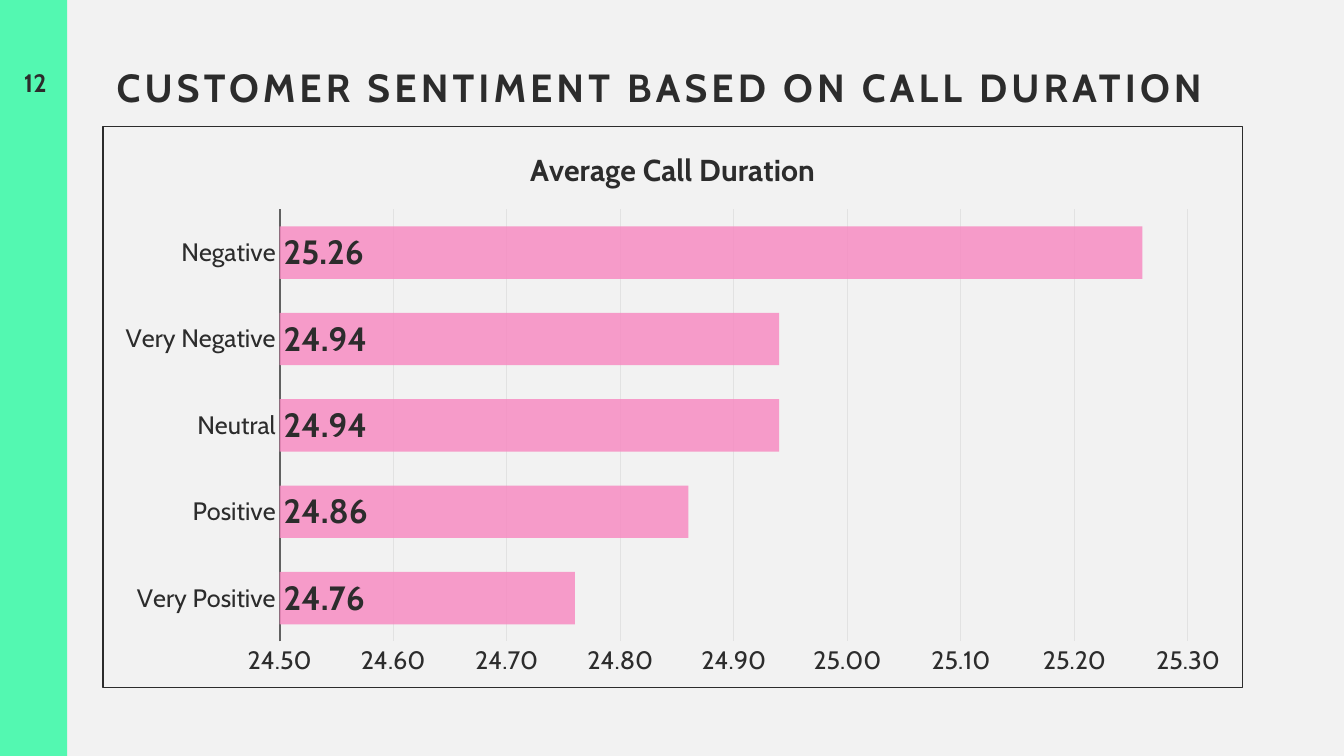
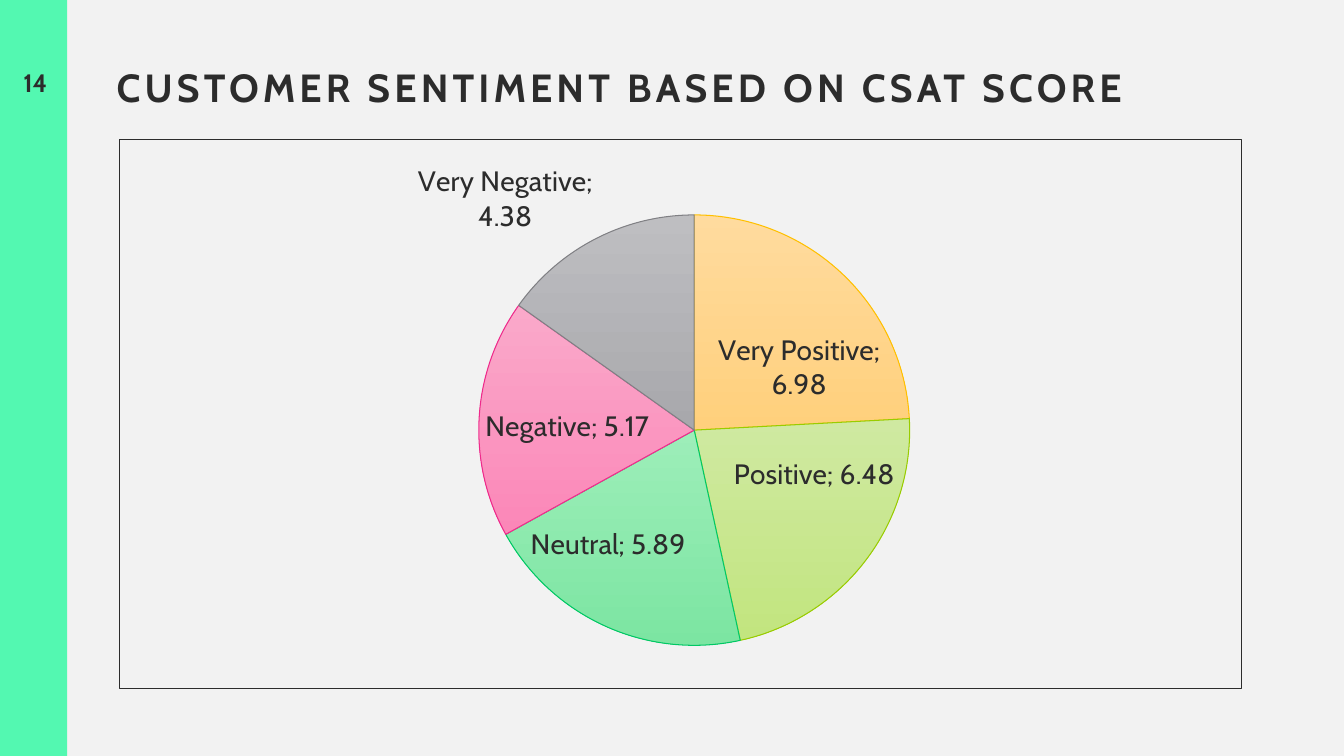
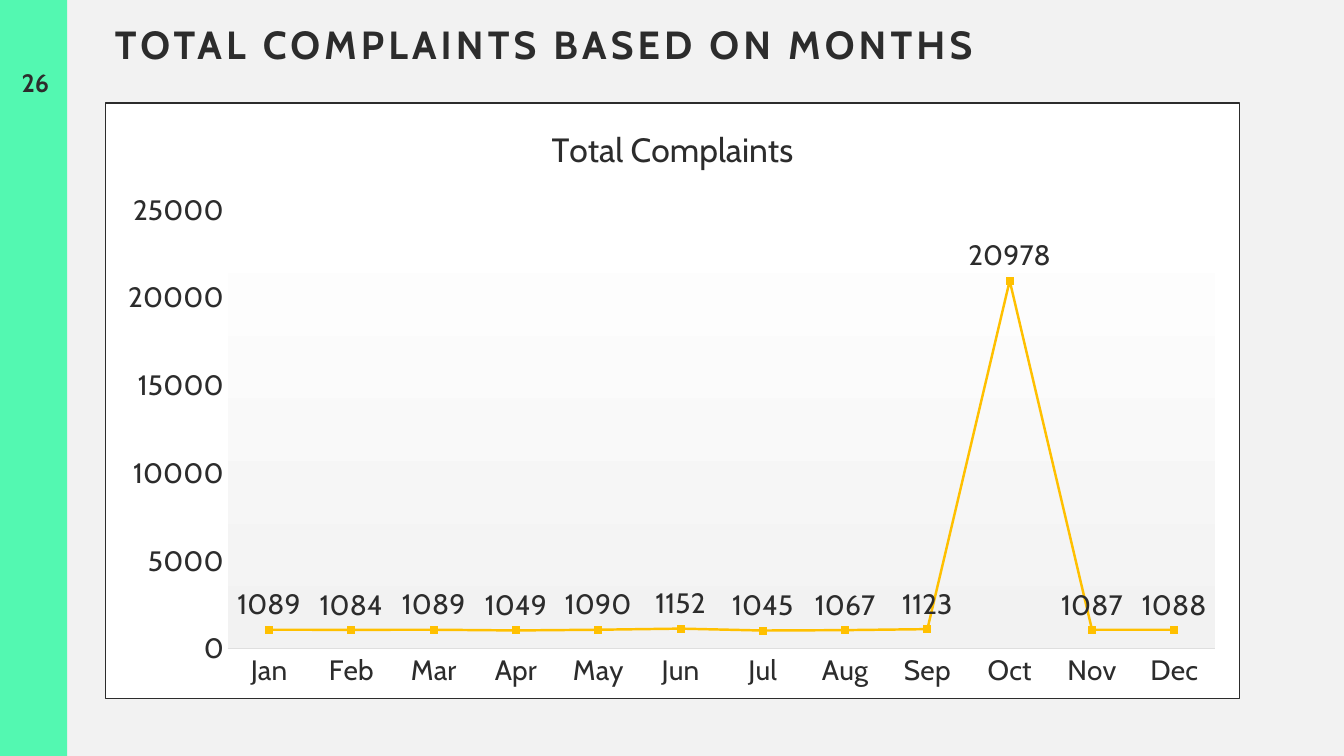
from pptx import Presentation
from pptx.chart.data import CategoryChartData
from pptx.dml.color import RGBColor
from pptx.enum.chart import XL_CHART_TYPE, XL_LABEL_POSITION, XL_TICK_MARK
from pptx.enum.shapes import MSO_SHAPE
from pptx.enum.text import MSO_ANCHOR, PP_ALIGN
from pptx.oxml import parse_xml
from pptx.oxml.ns import nsdecls, qn
from pptx.util import Inches, Pt
from lxml import etree

BAR, PIE, LINE = XL_CHART_TYPE.BAR_CLUSTERED, XL_CHART_TYPE.PIE, XL_CHART_TYPE.LINE
INSIDE_BASE = XL_LABEL_POSITION.INSIDE_BASE
BEST_FIT, ABOVE = XL_LABEL_POSITION.BEST_FIT, XL_LABEL_POSITION.ABOVE
NO_TICK = XL_TICK_MARK.NONE
RECT = MSO_SHAPE.RECTANGLE
LEFT, CENTER = PP_ALIGN.LEFT, PP_ALIGN.CENTER
TOP, MIDDLE = MSO_ANCHOR.TOP, MSO_ANCHOR.MIDDLE

COLS, ROWS = 16, 9
CELL = 13.33 / COLS


def grid(*cells):
    """Turn grid columns and rows into lengths."""
    return [Inches(c * CELL) for c in cells]


def rgb(code):
    return RGBColor.from_string(code)


def set_font(font, size, color, face, bold=False):
    font.size, font.name, font.bold = Pt(size), face, bold
    font.color.rgb = rgb(color)


def set_line(line, color, width=0.75):
    line.width = Pt(width)
    line.color.rgb = rgb(color)


def set_gradient(fill, first, last):
    """Blend two colours from top to bottom."""
    fill.gradient()
    fill.gradient_angle = 270
    for stop, color in zip(fill.gradient_stops, (first, last)):
        stop.color.rgb = rgb(color)


def set_alpha(fill_parent, percent):
    color = next(fill_parent.iter(qn("a:srgbClr")))
    etree.SubElement(color, qn("a:alpha")).set("val", str(percent * 1000))


class Deck:
    """Shared style and the slide being built."""
    FACE, INK, PAPER, BAND = "Cabin", "2C2C2C", "F2F2F2", "53F8B1"

    def __init__(self):
        self.prs = Presentation()
        self.prs.slide_width, self.prs.slide_height = grid(COLS, ROWS)

    def text(self, text, at, size=18, align=LEFT, anchor=TOP, leading=1.0, spacing=0):
        tf = self.slide.shapes.add_textbox(*grid(*at)).text_frame
        tf.word_wrap, tf.vertical_anchor = True, anchor
        p = tf.paragraphs[0]
        p.alignment, p.line_spacing = align, leading
        r = p.add_run()
        r.text = text
        set_font(r.font, size, self.INK, self.FACE, True)
        if spacing:
            r.font._element.set("spc", str(spacing * 100))

    def add_slide(self, number, title, title_at=(1.27, 0.8)):
        self.slide = self.prs.slides.add_slide(self.prs.slide_layouts[6])
        fill = self.slide.background.fill
        fill.solid()
        fill.fore_color.rgb = rgb(self.PAPER)
        band = self.slide.shapes.add_shape(RECT, *grid(0, 0, 0.8, ROWS))
        band.shadow.inherit = False
        band.fill.solid()
        band.fill.fore_color.rgb = rgb(self.BAND)
        band.line.fill.background()
        self.text(title, (*title_at, 13.51, 1.4), size=28, leading=0.8, spacing=3)
        self.text(str(number), (0.02, 0.74, 0.8, 0.48), align=CENTER, anchor=MIDDLE)

    def chart(self, kind, at, name, values, plot_at, size=20, fill=None):
        """Add a framed one-series chart; plot_at holds shares of its frame."""
        data = CategoryChartData()
        data.categories = list(values)
        data.add_series(name, list(values.values()))
        chart = self.slide.shapes.add_chart(kind, *grid(*at), data).chart
        chart.has_legend = chart.has_title = False
        set_font(chart.font, size, self.INK, self.FACE)
        chart.plots[0].vary_by_categories = kind == PIE
        self.frame(chart, fill)
        self.place_plot(chart, plot_at)
        return chart

    def frame(self, chart, fill):
        paint = f'<a:solidFill><a:srgbClr val="{fill}"/></a:solidFill>' if fill else "<a:noFill/>"
        chart._chartSpace.find(qn("c:chart")).addnext(parse_xml(
            f'<c:spPr {nsdecls("c", "a")}>{paint}<a:ln w="9525"><a:solidFill>'
            f'<a:srgbClr val="{self.INK}"/></a:solidFill></a:ln></c:spPr>'))

    def place_plot(self, chart, plot_at):
        area = chart._chartSpace.find(".//" + qn("c:plotArea"))
        old = area.find(qn("c:layout"))
        if old is not None:
            area.remove(old)
        shares = "".join(f'<c:{k} val="{v}"/>' for k, v in zip("xywh", plot_at))
        area.insert(0, parse_xml(
            f'<c:layout {nsdecls("c")}><c:manualLayout><c:layoutTarget val="inner"/>'
            f'<c:xMode val="edge"/><c:yMode val="edge"/>{shares}</c:manualLayout></c:layout>'))

    def chart_title(self, chart, text, size, bold=False):
        chart.has_title = True
        chart.chart_title.include_in_layout = False
        r = chart.chart_title.text_frame.paragraphs[0].add_run()
        r.text = text
        set_font(r.font, size, self.INK, self.FACE, bold)

    def axes(self, chart, low, high, step, line, width=0.75, fmt="General", grid_color=None):
        cat, val = chart.category_axis, chart.value_axis
        for axis in (cat, val):
            axis.major_tick_mark = axis.minor_tick_mark = NO_TICK
        set_line(cat.format.line, line, width)
        val.format.line.fill.background()
        val.minimum_scale, val.maximum_scale, val.major_unit = low, high, step
        val.tick_labels.number_format = fmt
        val.tick_labels.number_format_is_linked = False
        val.has_major_gridlines = bool(grid_color)
        if grid_color:
            set_line(val.major_gridlines.format.line, grid_color)

    def labels(self, chart, position, size=20, bold=False, fmt="General", category=False):
        plot = chart.plots[0]
        plot.has_data_labels = True
        labels = plot.data_labels
        labels.show_value, labels.show_category_name = True, category
        labels.number_format, labels.number_format_is_linked = fmt, False
        labels.position = position
        set_font(labels.font, size, self.INK, self.FACE, bold)


def duration_slide(deck):
    deck.add_slide(12, "CUSTOMER SENTIMENT BASED ON CALL DURATION")
    name = "Average Call Duration"
    durations = {"Very Positive": 24.76, "Positive": 24.86, "Neutral": 24.94,
                 "Very Negative": 24.94, "Negative": 25.26}
    chart = deck.chart(BAR, (1.22, 1.5, 13.58, 6.69), name, durations,
                       (0.155, 0.148, 0.797, 0.77), size=18)
    deck.chart_title(chart, name, 21.6, bold=True)
    deck.axes(chart, 24.5, 25.3, 0.1, "616161", 1.5, "0.00", "E2E2E2")
    deck.labels(chart, INSIDE_BASE, 24, bold=True, fmt="0.00")
    plot = chart.plots[0]
    plot.gap_width = 65
    bars = plot.series[0]
    bars.format.fill.solid()
    bars.format.fill.fore_color.rgb = rgb("F78CC2")
    set_alpha(bars._element.find(qn("c:spPr")), 85)


def score_slide(deck):
    deck.add_slide(14, "CUSTOMER SENTIMENT BASED ON CSAT SCORE")
    scores = {"Very Positive": 6.98, "Positive": 6.48, "Neutral": 5.89,
              "Negative": 5.17, "Very Negative": 4.38}
    slices = [("FFDB9E", "FFD07C", "FFC000"), ("CFE9A1", "C2E57F", "99CC00"),
              ("9DEEB9", "7CE5A2", "00C864"), ("FAA9CA", "FB87B8", "EE2A8B"),
              ("BEBEC1", "A8A8AC", "808084")]
    chart = deck.chart(PIE, (1.42, 1.65, 13.37, 6.55), "Series 1", scores,
                       (0.32, 0.138, 0.384, 0.784))
    deck.labels(chart, BEST_FIT, fmt="0.00", category=True)
    points = chart.plots[0].series[0].points
    for i, (first, last, edge) in enumerate(slices):
        look = points[i].format
        set_gradient(look.fill, first, last)
        set_line(look.line, edge)


def complaints_slide(deck):
    deck.add_slide(26, "TOTAL COMPLAINTS BASED ON MONTHS", (1.25, 0.29))
    name = "Total Complaints"
    months = "Jan Feb Mar Apr May Jun Jul Aug Sep Oct Nov Dec".split()
    counts = [1089, 1084, 1089, 1049, 1090, 1152, 1045, 1067, 1123, 20978, 1087, 1088]
    chart = deck.chart(LINE, (1.25, 1.22, 13.51, 7.1), name, dict(zip(months, counts)),
                       (0.108, 0.18, 0.871, 0.737), fill="FFFFFF")
    deck.chart_title(chart, name, 24)
    deck.axes(chart, 0, 25000, 5000, "DFDFDF")
    deck.labels(chart, ABOVE)
    series = chart.plots[0].series[0]
    series.smooth = False
    series.marker.style = None
    chart._chartSpace.find(".//" + qn("c:plotArea")).append(parse_xml(
        f'<c:spPr {nsdecls("c", "a")}><a:gradFill><a:gsLst>'
        '<a:gs pos="0"><a:srgbClr val="FFFFFF"/></a:gs>'
        f'<a:gs pos="100000"><a:srgbClr val="{deck.PAPER}"/></a:gs>'
        '</a:gsLst><a:lin ang="5400000" scaled="0"/></a:gradFill></c:spPr>'))
    set_line(series.format.line, "FFC000", 1.75)


def main():
    deck = Deck()
    duration_slide(deck)
    score_slide(deck)
    complaints_slide(deck)
    deck.prs.save("out.pptx")


if __name__ == "__main__":
    main()
